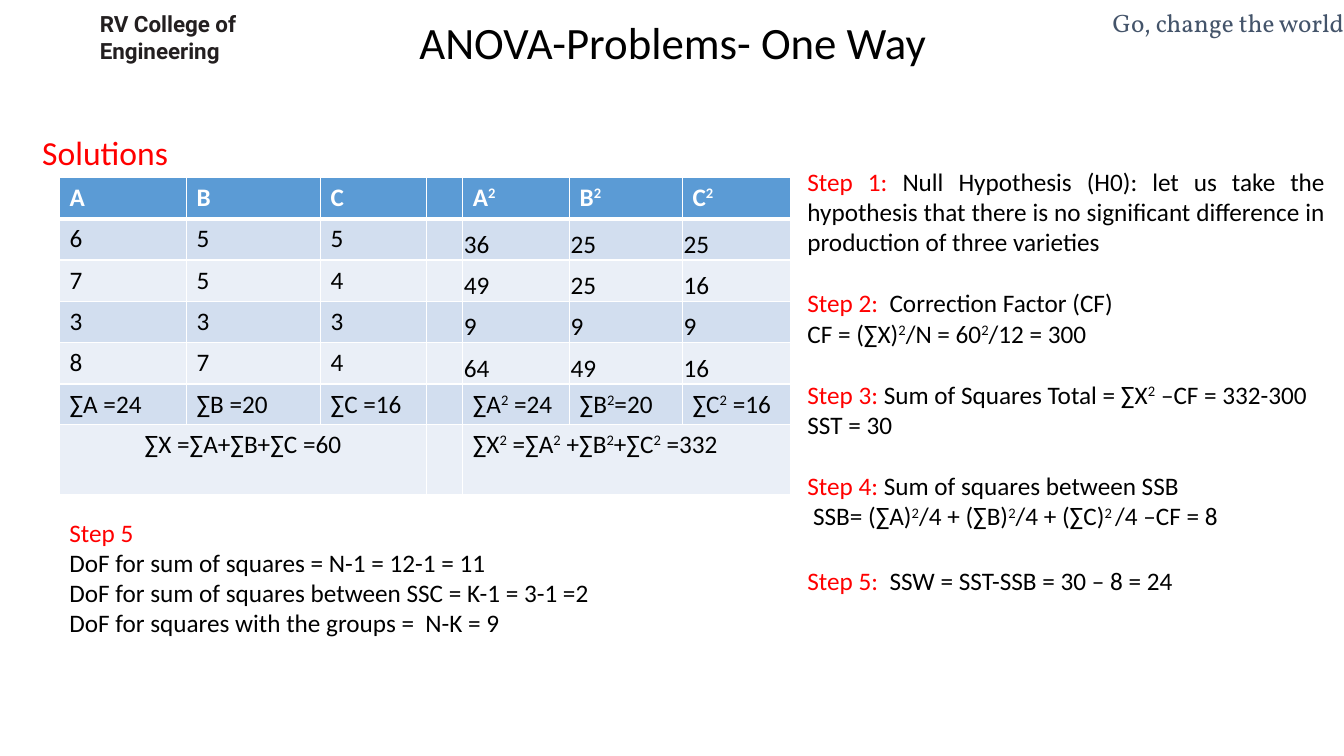
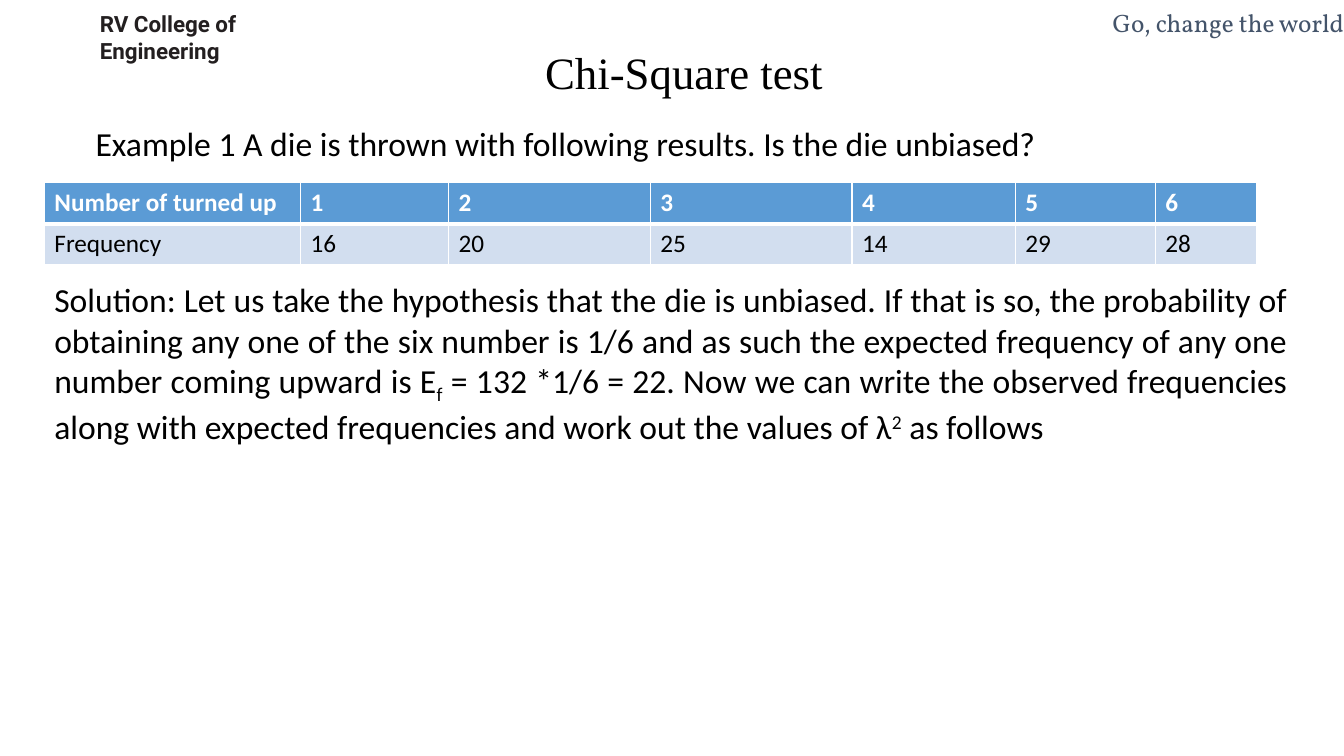
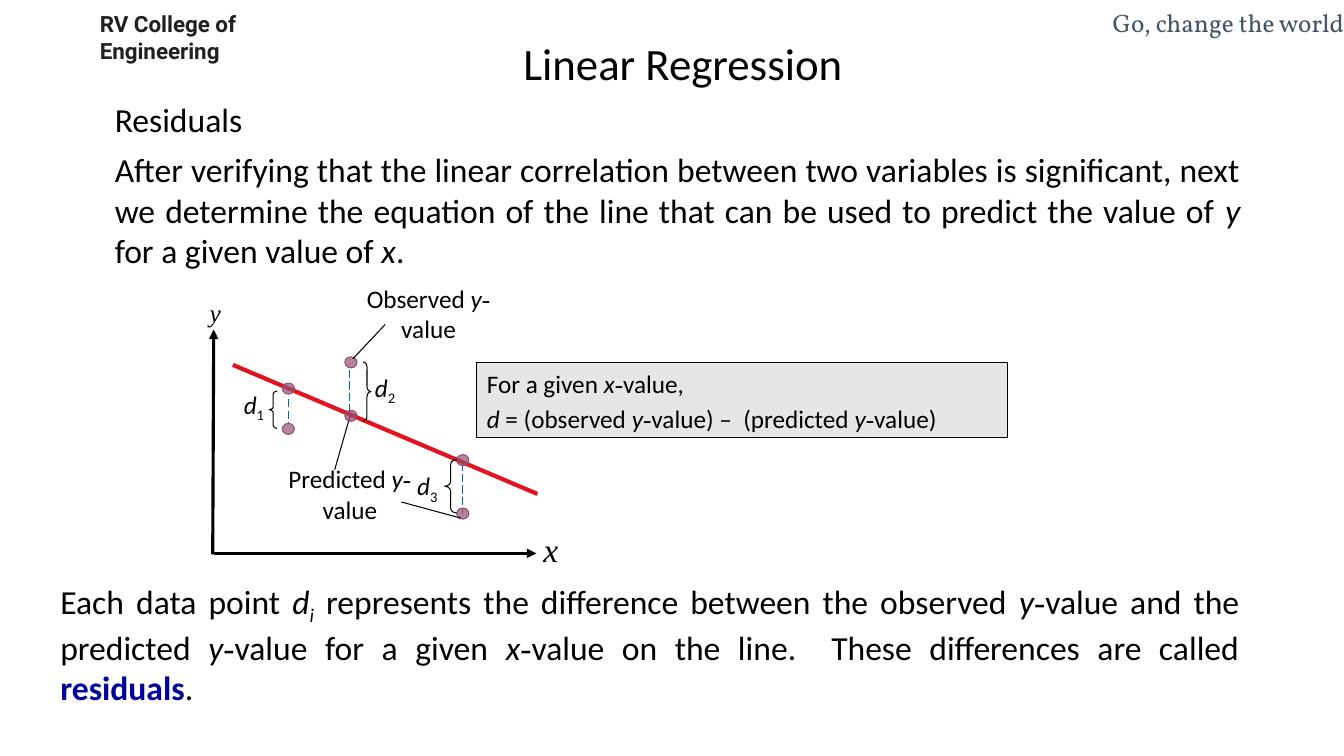
import pptx
import pptx.util
import pptx.dml.color
import pptx.enum.shapes
import pptx.enum.text
import pptx.enum.dml
import pptx.oxml
import pptx.oxml.ns
from lxml import etree

Inches = pptx.util.Inches
Pt = pptx.util.Pt
qn = pptx.oxml.ns.qn
SHAPE = pptx.enum.shapes.MSO_SHAPE
ALIGN = pptx.enum.text.PP_ALIGN
ANCHOR = pptx.enum.text.MSO_ANCHOR
DASH = pptx.enum.dml.MSO_LINE

BLACK, WHITE, RED, NAVY = "000000", "FFFFFF", "FF0000", "000099"
HEAD, BANDS = "5B9BD5", ("D2DEEF", "EAEFF7")
BLUE, TREND, PLUM, GREY = "0563C1", "E11521", "954F72", "E7E6E6"
BODY, SERIF = "Calibri", "Times New Roman"
MARKS = {
    "^": {"baseline": 30000},
    "_": {"baseline": -25000},
    "~": {"italic": True},
    "#": {"font": SERIF},
    "!": {"color": RED},
    "@": {"color": NAVY, "bold": True},
}


def rgb(value):
    return pptx.dml.color.RGBColor.from_string(value)


def write(tf, *paras, size=18, color=BLACK, font=BODY, bold=False, align=ALIGN.LEFT,
          before=0, gaps=None, leading=None):
    for i, text in enumerate(paras):
        p = tf.paragraphs[0] if i == 0 else tf.add_paragraph()
        p.alignment = align
        p.space_before = Pt((gaps or {}).get(i, before if i else 0))
        if leading:
            p.line_spacing = Pt(leading)
        for piece in text.split("|"):
            fmt = {"color": color, "font": font, "bold": bold, "italic": False}
            while piece[0] in MARKS:
                fmt.update(MARKS[piece[0]])
                piece = piece[1:]
            r = p.add_run()
            r.text = piece
            r.font.size = Pt(size)
            r.font.name = fmt["font"]
            r.font.bold = fmt["bold"]
            r.font.italic = fmt["italic"]
            r.font.color.rgb = rgb(fmt["color"])
            if "baseline" in fmt:
                r._r.get_or_add_rPr().set("baseline", str(fmt["baseline"]))


def set_margins(box, left, top, right, bottom):
    box.margin_left, box.margin_top = Inches(left), Inches(top)
    box.margin_right, box.margin_bottom = Inches(right), Inches(bottom)


def add_text(s, box, *paras, margins=(0.1, 0.05, 0.1, 0.05), wrap=True, **fmt):
    sp = s.shapes.add_textbox(*map(Inches, box))
    tf = sp.text_frame
    tf.word_wrap = wrap
    set_margins(tf, *margins)
    write(tf, *paras, **fmt)
    return sp


def add_shape(s, kind, box, fill=None, line=BLACK, alpha=None):
    sp = s.shapes.add_shape(kind, *map(Inches, box))
    sp.shadow.inherit = False
    sp.line.color.rgb = rgb(line)
    sp.line.width = Pt(0.75)
    if fill:
        sp.fill.solid()
        sp.fill.fore_color.rgb = rgb(fill)
    else:
        sp.fill.background()
    if alpha:
        clr = sp.element.spPr.find(qn("a:solidFill"))[0]
        etree.SubElement(clr, qn("a:alpha")).set("val", str(alpha * 1000))
    return sp


def add_line(s, start, end, color=BLACK, width=0.75, dash=None, arrow=False):
    cx = s.shapes.add_connector(pptx.enum.shapes.MSO_CONNECTOR.STRAIGHT,
                                *map(Inches, start + end))
    cx.line.color.rgb = rgb(color)
    cx.line.width = Pt(width)
    if dash:
        cx.line.dash_style = dash
    if arrow:
        etree.SubElement(cx.line._get_or_add_ln(), qn("a:tailEnd")).set("type", "triangle")
    etree.SubElement(cx.element.spPr, qn("a:effectLst"))


def set_borders(cell, row):
    tcPr = cell._tc.get_or_add_tcPr()
    for side in "LRTB":
        thick = (row, side) in ((0, "B"), (1, "T"))
        ln = etree.SubElement(tcPr, qn("a:ln" + side), w=str(Pt(3 if thick else 1)))
        fill = etree.SubElement(ln, qn("a:solidFill"))
        etree.SubElement(fill, qn("a:srgbClr")).set("val", WHITE)


def add_table(s, left, top, widths, heights, rows):
    frame = s.shapes.add_table(len(rows), len(widths), Inches(left), Inches(top),
                               Inches(sum(widths)), Inches(sum(heights)))
    table = frame.table
    for column, width in zip(table.columns, widths):
        column.width = Inches(width)
    for i, texts in enumerate(rows):
        table.rows[i].height = Inches(heights[i])
        for j, text in enumerate(texts):
            cell = table.cell(i, j)
            set_borders(cell, i)
            cell.fill.solid()
            cell.fill.fore_color.rgb = rgb(BANDS[(i - 1) % 2] if i else HEAD)
            if text:
                write(cell.text_frame, text, color=BLACK if i else WHITE, bold=i == 0)
    return table


def add_header(s, layout):
    college = add_text(s, (0.98, 0.1, 1.5, 0.54), "RV College of", "Engineering",
                       margins=(0.01, 0.02, 0, 0), size=16, font="Roboto", bold=True,
                       color="231F20", leading=17.9, before=1.4)
    motto = add_text(s, (9.31, 0.07, 4.02, 0.51), "Go, change the world",
                     margins=(0, 0, 0, 0), font="Vollkorn", color="44546A",
                     align=ALIGN.RIGHT)
    for sp in (college, motto):
        layout.element.cSld.spTree.append(sp.element)


def add_slide(prs, title, box, font=BODY):
    s = prs.slides.add_slide(prs.slide_layouts[5])
    sp = s.shapes.title
    sp.left, sp.top, sp.width, sp.height = map(Inches, box)
    tf = sp.text_frame
    tf.word_wrap = True
    tf.auto_size = pptx.enum.text.MSO_AUTO_SIZE.NONE
    tf.vertical_anchor = ANCHOR.TOP
    set_margins(tf, 0.1, 0.05, 0.1, 0.05)
    write(tf, title, size=32, font=font, align=ALIGN.CENTER)
    return s


def add_sums_table(s, left, top):
    samples = [(6, 5, 5), (7, 5, 4), (3, 3, 3), (8, 7, 4)]
    rows = [["A", "B", "C", "", "A|^2", "B|^2", "C|^2"]]
    rows += [[str(v) for v in row] + [""] + [str(v * v) for v in row] for row in samples]
    rows += [["∑A =24", "∑B =20", "∑C =16", "", "∑A|^2| =24", "∑B|^2|=20", "∑C|^2| =16"],
             ["∑X =∑A+∑B+∑C =60", "", "", "",
              "∑X|^2| =∑A|^2| +∑B|^2|+∑C|^2| =332", "", ""]]
    table = add_table(s, left, top, [1.26, 1.33, 1.05, 0.36, 1.06, 1.12, 1.07],
                      [0.41] * 5 + [0.4, 0.7], rows)
    for i in range(1, 5):
        for j in range(4, 7):
            cell = table.cell(i, j)
            set_margins(cell, 0.01, 0.01, 0.01, 0)
            cell.vertical_anchor = ANCHOR.BOTTOM
    for j in (0, 4):
        table.cell(6, j).merge(table.cell(6, j + 2))
    table.cell(6, 0).text_frame.paragraphs[0].alignment = ALIGN.CENTER


def anova_slide(prs):
    s = add_slide(prs, "ANOVA-Problems- One Way", (2.66, 0.1, 8.03, 1.18))
    add_text(s, (0.32, 1.26, 12.64, 0.5), "Solutions", size=24, color=RED)
    add_sums_table(s, 0.59, 1.76)
    add_text(s, (0.59, 5.08, 6.74, 1.31), "!Step 5",
             "DoF for sum of squares = N-1 = 12-1 = 11",
             "DoF for sum of squares between SSC = K-1 = 3-1 =2",
             "DoF for squares with the groups =  N-K = 9")
    add_text(s, (7.91, 1.6, 5.33, 4.64),
             "!Step 1: |Null Hypothesis (H0): let us take the hypothesis that there is no "
             "significant difference in production of three varieties",
             "!Step 2:  |Correction Factor (CF)",
             "CF = (∑X)|^2|/N = 60|^2|/12 = 300",
             "!Step 3: |Sum of Squares Total = ∑X|^2| –CF = 332-300",
             "SST = 30",
             "!Step 4:| Sum of squares between SSB",
             " SSB= (∑A)|^2|/4 + (∑B)|^2|/4 + (∑C)|^2 |/4 –CF = 8",
             "!Step 5:|  SSW = SST-SSB = 30 – 8 = 24",
             align=ALIGN.JUSTIFY, gaps={1: 22, 3: 22, 5: 22, 7: 25})
    return s


def chi_square_slide(prs):
    s = add_slide(prs, "Chi-Square test", (1.68, 0.39, 10.21, 0.64), font=SERIF)
    add_text(s, (0.85, 1.17, 12.4, 0.5),
             "Example 1 A die is thrown with following results. Is the die unbiased?", size=24)
    add_table(s, 0.44, 1.81, [2.54, 1.47, 2, 2, 1.62, 1.39, 1], [0.41, 0.41],
              [["Number of turned up", "1", "2", "3", "4", "5", "6"],
               ["Frequency", "16", "20", "25", "14", "29", "28"]])
    add_text(s, (0.44, 2.72, 12.43, 1.72),
             "Solution: Let us take the hypothesis that the die is unbiased. If that is so, the "
             "probability of obtaining any one of the six number is 1/6 and as such the expected "
             "frequency of any one number coming upward is E|_f| = 132 *1/6 = 22. Now we can write "
             "the observed frequencies along with expected frequencies and work out the values of "
             "λ|^2| as follows", size=24, align=ALIGN.JUSTIFY)


def add_residual_plot(s, left, top):
    def at(x, y, *size):
        return (left + x, top + y) + size

    for x, y1, y2 in ((1.47, 0.92, 1.43), (0.86, 1.21, 1.44), (2.59, 1.84, 2.35)):
        add_line(s, at(x, y1), at(x, y2), BLUE, dash=DASH.LONG_DASH)
    add_line(s, at(1.32, 1.91), at(1.48, 1.35))
    add_line(s, at(0.31, 0.87), at(3.33, 2.15), TREND, 3)
    add_line(s, at(0.12, 2.74), at(3.32, 2.74), width=2.25, arrow=True)
    add_line(s, at(0.11, 2.75), at(0.12, 0.52), width=2.25, arrow=True)
    add_text(s, at(3.29, 2.45, 0.59, 0.48), "~x", size=24, font=SERIF)
    add_text(s, at(-0.02, 0.15, 0.69, 0.38), "~y", font=SERIF)
    for x, ys in ((0.8, (1.45, 1.05)), (1.42, (0.79, 1.32)), (2.53, (1.76, 2.29))):
        for y in ys:
            add_shape(s, SHAPE.OVAL, at(x, y, 0.12, 0.11), PLUM, PLUM, alpha=70)
    for number, x, y in ((1, 0.32, 1.06), (2, 1.62, 0.89), (3, 2.04, 1.87)):
        add_text(s, at(x, y, 0.44, 0.38), f"~d|_{number}", wrap=False)
    for kind, box, curl in ((SHAPE.LEFT_BRACE, (0.67, 1.13, 0.08, 0.37), 0.38),
                            (SHAPE.LEFT_BRACE, (2.41, 1.81, 0.12, 0.53), 0.39),
                            (SHAPE.RIGHT_BRACE, (1.6, 0.84, 0.08, 0.59), 0.62)):
        add_shape(s, kind, at(*box)).adjustments[0] = curl
    for name, x, y in (("Observed", 1.49, 0.01), ("Predicted", 0.71, 1.8)):
        add_text(s, at(x, y, 1.52, 0.67), name + " |~y|#-|value", align=ALIGN.CENTER)
    add_line(s, at(1.82, 0.47), at(1.5, 0.81))
    add_line(s, at(1.98, 2.23), at(2.57, 2.39))


def add_definition(s, box):
    tf = add_shape(s, SHAPE.RECTANGLE, box, GREY).text_frame
    tf.word_wrap = True
    tf.vertical_anchor = ANCHOR.TOP
    write(tf, "For a given |~x|#-|value,",
          "~d| = (observed |~y|#-|value) –  (predicted |~y|#-|value)", before=3.6)


def regression_slide(prs):
    s = add_slide(prs, "Linear Regression", (2.76, 0.3, 8.03, 0.64))
    add_text(s, (1.04, 0.93, 1.48, 0.5), "Residuals", size=24, wrap=False)
    add_text(s, (1.04, 1.43, 11.36, 1.31),
             "After verifying that the linear correlation between two variables is significant, "
             "next we determine the equation of the line that can be used to predict the value "
             "of |~y| for a given value of |~x|.", size=24, align=ALIGN.JUSTIFY)
    add_residual_plot(s, 2, 2.75)
    add_definition(s, (4.73, 3.6, 5.26, 0.74))
    add_text(s, (0.5, 5.71, 11.89, 1.12),
             "Each data point |~d|~_i| represents the difference between the observed |~y|#-|value "
             "and the predicted |~y|#-|value for a given |~x|#-|value on the line.  These "
             "differences are called |@residuals|.", size=24, align=ALIGN.JUSTIFY)


def main():
    prs = pptx.Presentation()
    prs.slide_width, prs.slide_height = Inches(13.33), Inches(7.5)
    s = anova_slide(prs)
    add_header(s, s.slide_layout)
    chi_square_slide(prs)
    regression_slide(prs)
    prs.save("out.pptx")


if __name__ == "__main__":
    main()
